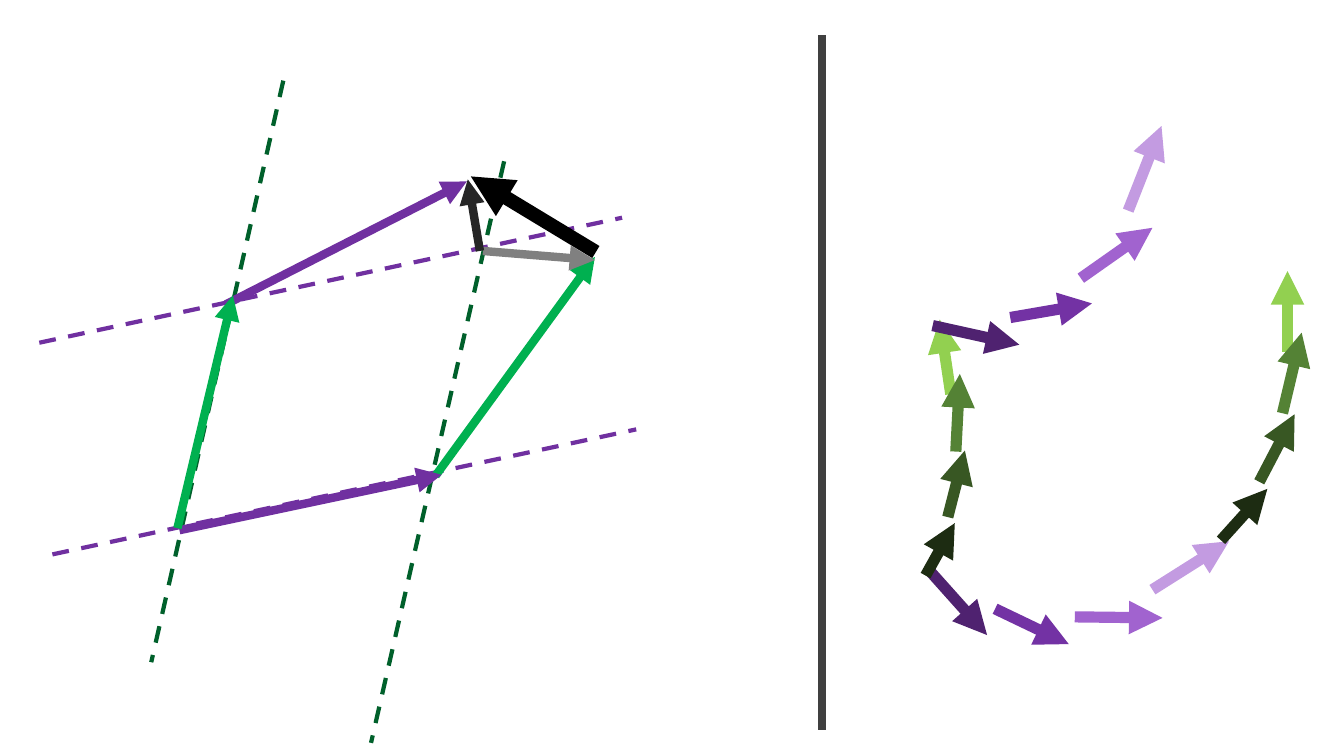
"""Draw a vector parallelogram beside two paths of shaded arrows."""
from pptx import Presentation
from pptx.dml.color import RGBColor
from pptx.enum.dml import MSO_LINE_DASH_STYLE as Dash
from pptx.enum.shapes import MSO_CONNECTOR as Kind
from pptx.oxml.ns import qn
from pptx.util import Inches, Pt
from lxml.etree import SubElement

PURPLE, GREEN, FOREST = "7030A0", "00B050", "00602B"

GUIDES = [
    (PURPLE, (0.52, 5.5), (6.31, 4.26)),
    (PURPLE, (0.39, 3.4), (6.17, 2.16)),
    (FOREST, (2.81, 0.8), (1.5, 6.57)),
    (FOREST, (5, 1.6), (3.68, 7.37)),
]
VECTORS = [
    (PURPLE, (2.24, 3.02), (4.63, 1.8)),
    (GREEN, (4.32, 4.72), (5.9, 2.55)),
    (PURPLE, (1.78, 5.26), (4.38, 4.71)),
    (GREEN, (1.76, 5.24), (2.31, 2.93)),
    ("808080", (4.79, 2.49), (5.9, 2.58)),
    ("262626", (4.76, 2.49), (4.64, 1.78)),
]
BRACKET = ("000000", (5.91, 2.5), (4.67, 1.75))
DIVIDER = ("404040", (8.15, 0.35), (8.15, 7.24))

VIOLETS = ["C39BE1", "A163CF", "7332A4", "4F2270"]
LEAVES = ["92D050", "548235", "385723", "1D2C12"]
PATHS = [
    (VIOLETS, [((11.43, 5.85), (12.19, 5.37)), ((10.66, 6.12), (11.53, 6.13)),
               ((9.87, 6.04), (10.6, 6.39)), ((9.2, 5.64), (9.79, 6.3))]),
    (LEAVES, [((9.43, 3.91), (9.32, 3.17)), ((9.48, 4.48), (9.52, 3.71)),
              ((9.4, 5.13), (9.57, 4.47)), ((9.18, 5.71), (9.47, 5.19))]),
    (LEAVES, [((12.77, 3.49), (12.77, 2.69)), ((12.72, 4.1), (12.91, 3.3)),
              ((12.49, 4.78), (12.84, 4.11)), ((12.11, 5.36), (12.57, 4.85))]),
    (VIOLETS, [((11.19, 2.09), (11.52, 1.25)), ((10.72, 2.76), (11.43, 2.26)),
               ((10.02, 3.15), (10.83, 3.01)), ((9.25, 3.23), (10.11, 3.42))]),
]


def paint(line, shade):
    line.color.rgb = RGBColor.from_string(shade)


def draw(slide, shade, start, end, width, arrow=True, dash=False):
    ends = [Inches(n) for n in start + end]
    link = slide.shapes.add_connector(Kind.STRAIGHT, *ends)
    paint(link.line, shade)
    link.line.width = Pt(width)
    if dash:
        link.line.dash_style = Dash.DASH
    props = link._element.spPr
    if arrow:
        SubElement(props.find(qn("a:ln")), qn("a:tailEnd"), type="triangle")
    SubElement(props, qn("a:effectLst"))


def main():
    deck = Presentation()
    deck.slide_width, deck.slide_height = Inches(13.33), Inches(7.5)
    slide = deck.slides.add_slide(deck.slide_layouts[6])
    for guide in GUIDES:
        draw(slide, *guide, 3, arrow=False, dash=True)
    for vector in VECTORS:
        draw(slide, *vector, 6)
    for shades, steps in PATHS:
        for shade, (start, end) in zip(shades, steps):
            draw(slide, shade, start, end, 8)
    draw(slide, *DIVIDER, 6, arrow=False)
    draw(slide, *BRACKET, 10)
    deck.save("out.pptx")


if __name__ == "__main__":
    main()
